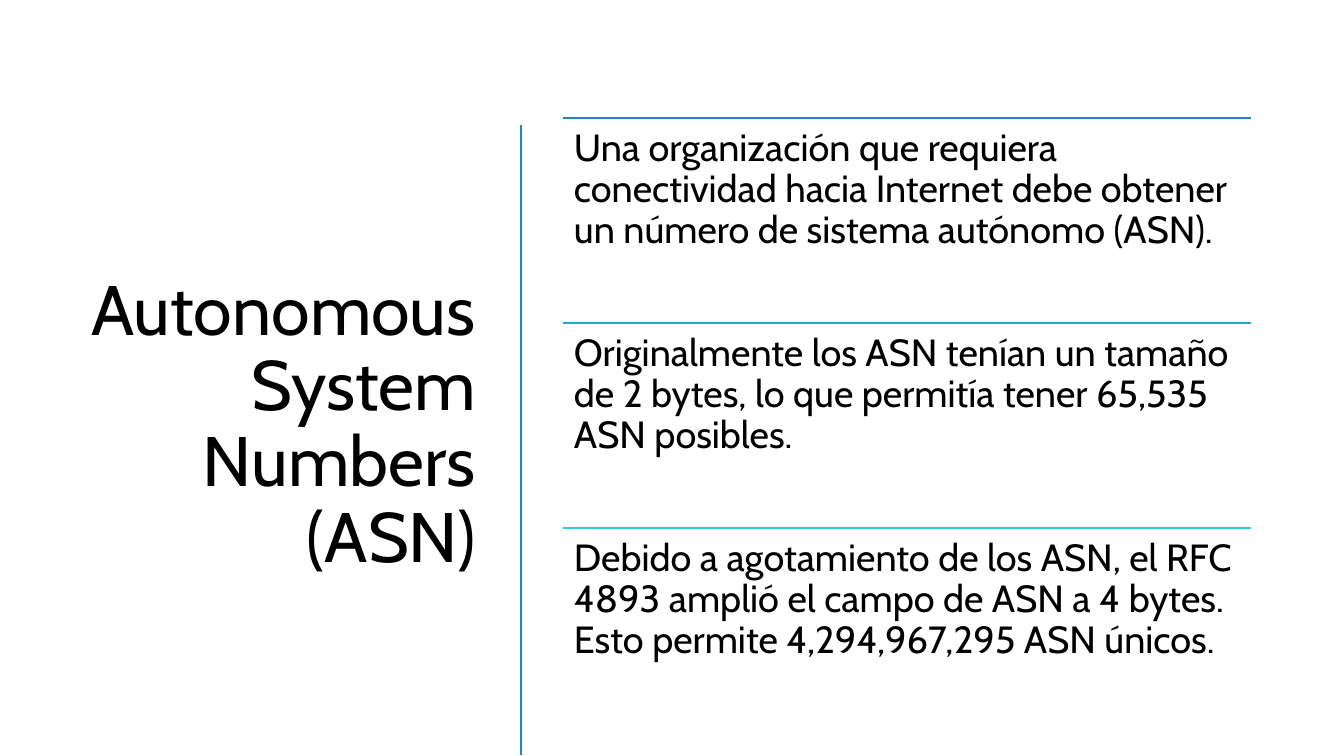
from lxml.etree import SubElement
from pptx import Presentation
from pptx.dml.color import RGBColor
from pptx.enum.shapes import MSO_CONNECTOR
from pptx.enum.text import MSO_ANCHOR, MSO_AUTO_SIZE, PP_ALIGN
from pptx.oxml.ns import qn
from pptx.util import Emu, Pt

EMU_PER_PX = 914400 / 100.8
FONT = "Cabin"
BLACK = RGBColor(0x00, 0x00, 0x00)
BLUE = RGBColor(0x26, 0x83, 0xC6)
SKY = RGBColor(0x27, 0xA7, 0xCE)
TURQUOISE = RGBColor(0x27, 0xCE, 0xD7)

TITLE = "Autonomous System Numbers (ASN)"
FACTS = [
    ("Una organización que requiera conectividad hacia Internet debe obtener "
     "un número de sistema autónomo (ASN).", BLUE),
    ("Originalmente los ASN tenían un tamaño de 2 bytes, lo que permitía tener "
     "65,535 ASN posibles.", SKY),
    ("Debido a agotamiento de los ASN, el RFC 4893 amplió el campo de ASN a "
     "4 bytes. Esto permite 4,294,967,295 ASN únicos.", TURQUOISE),
]
FACT_LEFT, FACT_TOP, FACT_WIDTH, FACT_HEIGHT = 563, 118, 688, 205
FACT_INSET = 11


def px(length):
    return Emu(round(length * EMU_PER_PX))


def write(frame, text, size, align):
    frame.text = text
    frame.word_wrap = True
    frame.auto_size = MSO_AUTO_SIZE.NONE
    paragraph = frame.paragraphs[0]
    paragraph.alignment = align
    paragraph.line_spacing = 0.9
    font = paragraph.runs[0].font
    font.name = FONT
    font.size = Pt(size)
    font.color.rgb = BLACK


def add_title(slide):
    title = slide.shapes.title
    title.left, title.top, title.width, title.height = map(px, (52, 118, 434, 616))
    write(title.text_frame, TITLE, 50, PP_ALIGN.RIGHT)
    title.text_frame.vertical_anchor = MSO_ANCHOR.MIDDLE


def add_rule(slide, start, end, color, width):
    rule = slide.shapes.add_connector(
        MSO_CONNECTOR.STRAIGHT, *map(px, start + end))
    rule.line.color.rgb = color
    rule.line.width = Pt(width)
    SubElement(rule._element.spPr, qn("a:effectLst"))


def add_fact(slide, top, text, color):
    """Add a statement with its coloured rule above it."""
    add_rule(slide, (FACT_LEFT, top), (FACT_LEFT + FACT_WIDTH, top), color, 1)
    statement = slide.shapes.add_textbox(
        *map(px, (FACT_LEFT, top, FACT_WIDTH, FACT_HEIGHT)))
    frame = statement.text_frame
    frame.margin_left = frame.margin_right = px(FACT_INSET)
    frame.margin_top = frame.margin_bottom = px(FACT_INSET)
    frame.vertical_anchor = MSO_ANCHOR.TOP
    write(frame, text, 27, PP_ALIGN.LEFT)


def main():
    presentation = Presentation()
    presentation.slide_width, presentation.slide_height = px(1344), px(756)
    title_only = presentation.slide_layouts[5]
    slide = presentation.slides.add_slide(title_only)

    add_title(slide)
    add_rule(slide, (521, 125), (521, 755), BLUE, 2)
    for row, (text, color) in enumerate(FACTS):
        add_fact(slide, FACT_TOP + row * FACT_HEIGHT, text, color)

    presentation.save("out.pptx")


if __name__ == "__main__":
    main()
